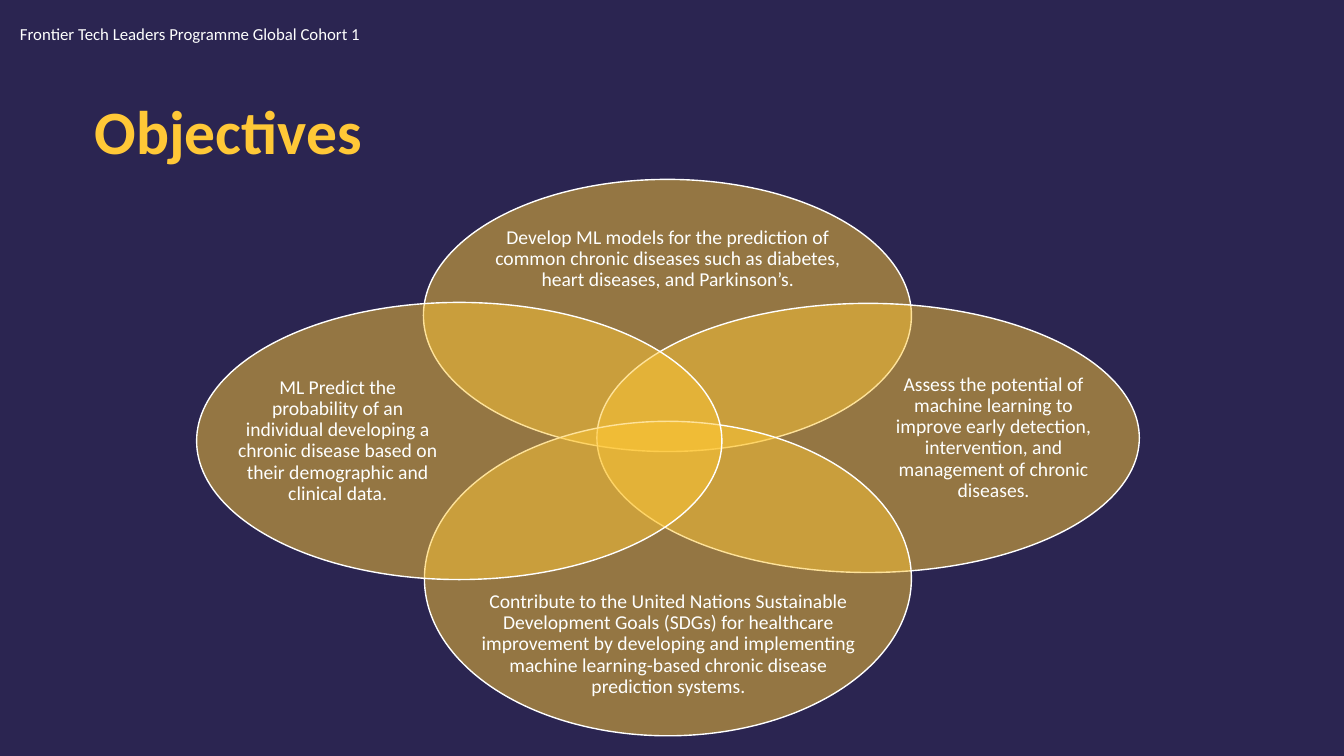
from dataclasses import dataclass

from lxml import etree
from pptx import Presentation
from pptx import util as u
from pptx.dml import color
from pptx.enum import shapes, text
from pptx.oxml import ns

FONT = "Calibri"
NAVY, GOLD, AMBER = "2B2551", "FFC837", "FEC736"
WHITE, SOFT_WHITE = "FFFFFF", "FEFFFE"


@dataclass
class Area:
    left: float
    top: float
    width: float
    height: float

    def lengths(self) -> list[int]:
        return [u.Inches(n) for n in (self.left, self.top, self.width, self.height)]


@dataclass
class Objective:
    oval: Area
    label: Area
    wording: str


# Back to front: top, right, bottom, left
OBJECTIVES = [
    Objective(Area(4.2, 1.78, 4.84, 2.7), Area(4.76, 2.14, 3.73, 0.86),
              "Develop ML models for the prediction of common chronic diseases "
              "such as diabetes, heart diseases, and Parkinson’s."),
    Objective(Area(5.92, 3.01, 5.38, 2.67), Area(8.82, 3.32, 2.07, 2.05),
              "Assess the potential of machine learning to improve early "
              "detection, intervention, and management of chronic diseases."),
    Objective(Area(4.21, 4.18, 4.83, 3.12), Area(4.77, 5.9, 3.72, 0.99),
              "Contribute to the United Nations Sustainable Development Goals "
              "(SDGs) for healthcare improvement by developing and implementing "
              "machine learning-based chronic disease prediction systems."),
    Objective(Area(1.95, 3, 5.21, 2.75), Area(2.35, 3.32, 2, 2.11),
              "ML Predict the probability of an individual developing a chronic "
              "disease based on their demographic and clinical data."),
]


def rgb(value: str) -> color.RGBColor:
    return color.RGBColor.from_string(value)


def add_text(page, area: Area, wording: str, size: float, ink: str = SOFT_WHITE,
             bold: bool = False):
    box = page.shapes.add_textbox(*area.lengths())
    box.text_frame.word_wrap = True
    para = box.text_frame.paragraphs[0]
    span = para.add_run()
    span.text = wording
    span.font.name = FONT
    span.font.size = u.Pt(size)
    span.font.bold = bold
    span.font.color.rgb = rgb(ink)
    return box


def add_oval(page, area: Area) -> None:
    oval = page.shapes.add_shape(shapes.MSO_SHAPE.OVAL, *area.lengths())
    oval.shadow.inherit = False
    oval.fill.solid()
    oval.fill.fore_color.rgb = rgb(AMBER)
    oval.line.color.rgb = rgb(WHITE)
    oval.line.width = u.Pt(1)
    # Half-transparent fill lets the overlaps show
    fill_color = oval.fill._xPr.find(ns.qn("a:solidFill"))[0]
    etree.SubElement(fill_color, ns.qn("a:alpha"), val="50000")


def add_objective(page, objective: Objective) -> None:
    add_oval(page, objective.oval)
    frame = add_text(page, objective.label, objective.wording, 14).text_frame
    frame.vertical_anchor = text.MSO_ANCHOR.MIDDLE
    frame.margin_left = frame.margin_right = 0
    frame.margin_top = frame.margin_bottom = 0
    frame.paragraphs[0].alignment = text.PP_ALIGN.CENTER
    frame.paragraphs[0].line_spacing = 0.9


def main() -> None:
    deck = Presentation()
    deck.slide_width, deck.slide_height = u.Inches(13.33), u.Inches(7.5)
    page = deck.slides.add_slide(deck.slide_layouts[6])
    page.background.fill.solid()
    page.background.fill.fore_color.rgb = rgb(NAVY)

    # Title and programme name
    title = add_text(page, Area(0.84, 0.83, 11.06, 1.01), "Objectives", 44, GOLD, True)
    title.text_frame.vertical_anchor = text.MSO_ANCHOR.MIDDLE
    title.text_frame.paragraphs[0].line_spacing = 0.9
    add_text(page, Area(0.1, 0.19, 5.54, 0.3),
             "Frontier Tech Leaders Programme Global Cohort 1", 12)

    # Overlapping objectives
    for objective in OBJECTIVES:
        add_objective(page, objective)

    deck.save("out.pptx")


if __name__ == "__main__":
    main()
